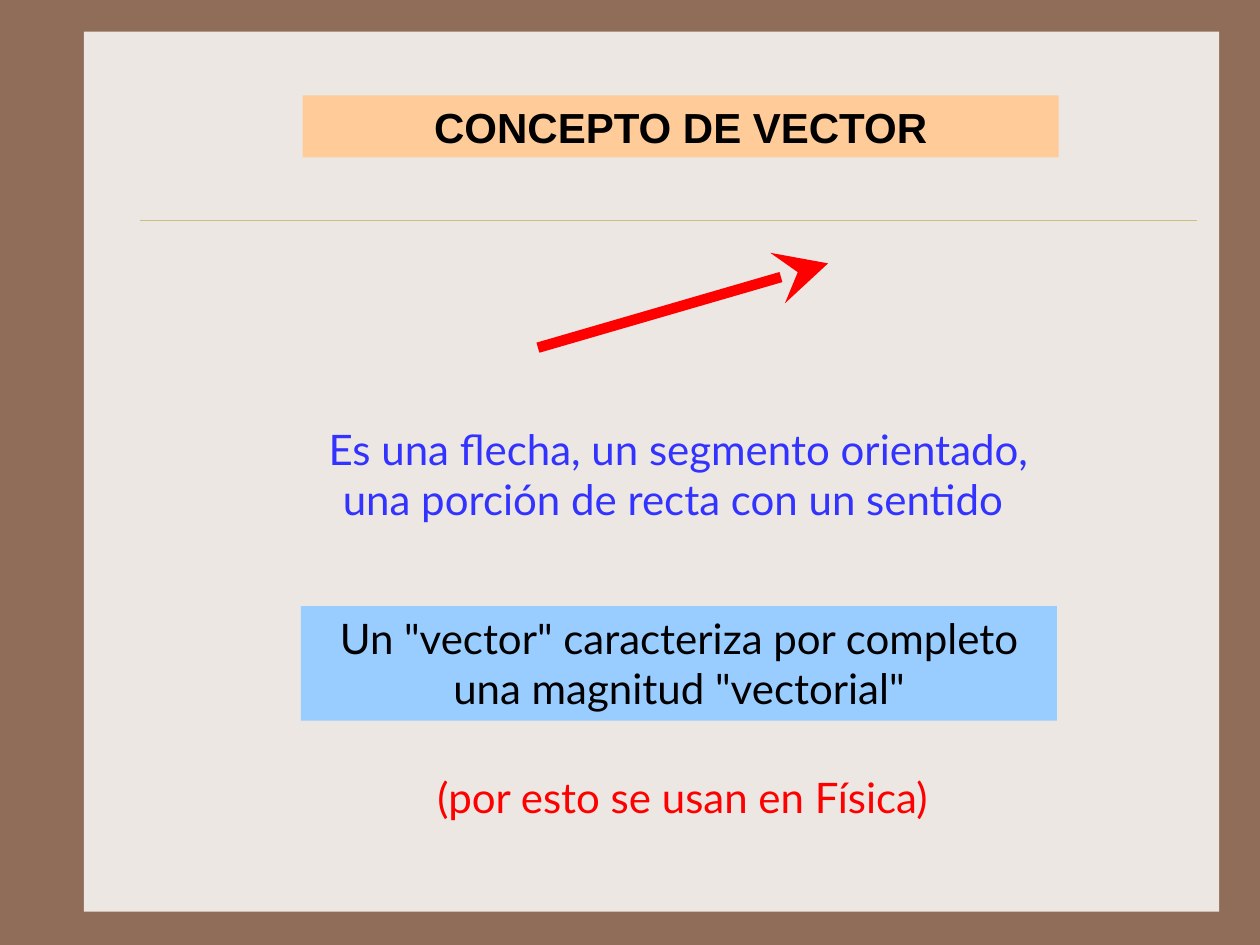
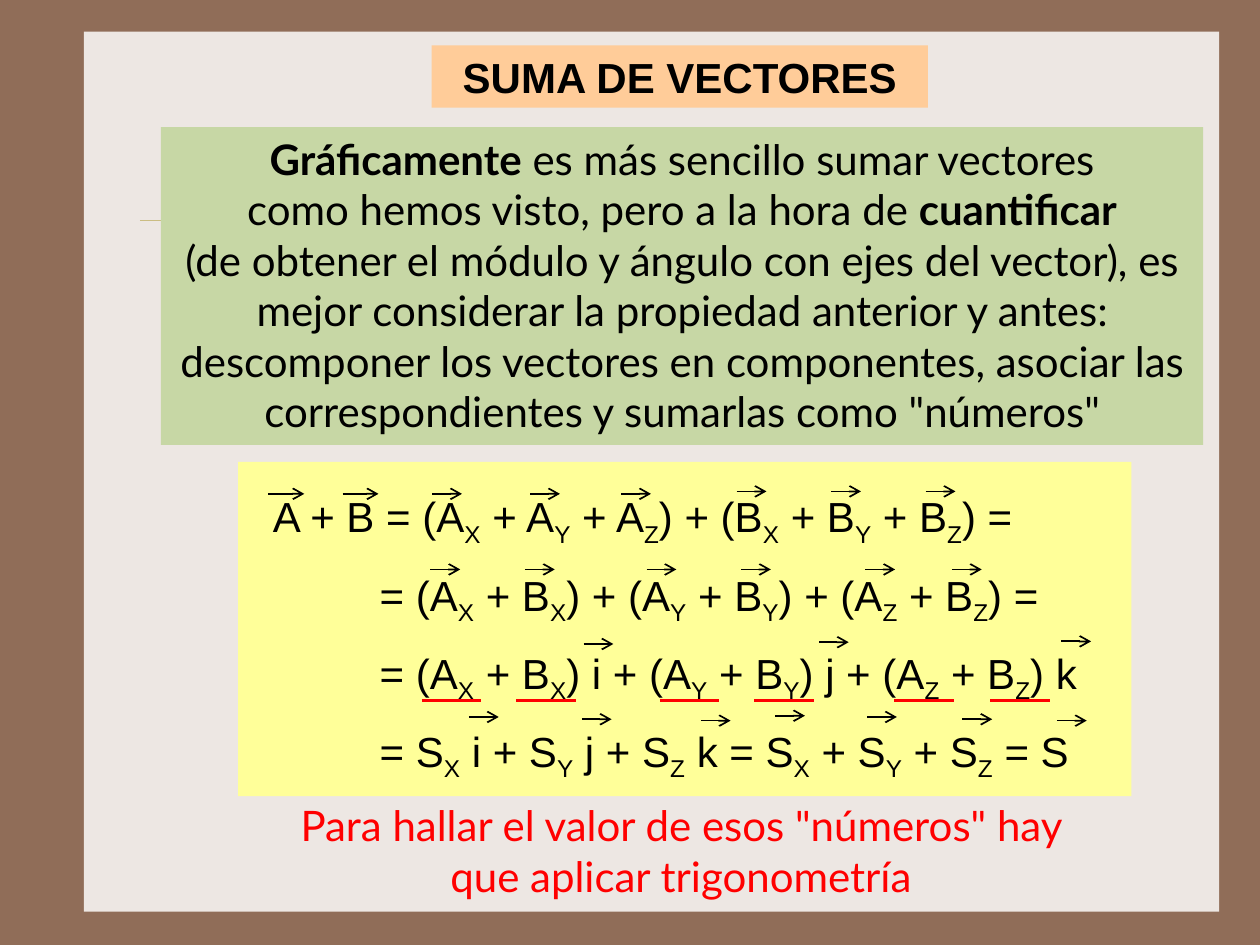
"""Builds two slides about vectors: the concept and the sum by components."""
from lxml import etree
from pptx import Presentation
from pptx.dml.color import RGBColor
from pptx.enum.shapes import MSO_CONNECTOR, MSO_SHAPE
from pptx.enum.text import MSO_ANCHOR, MSO_AUTO_SIZE, PP_ALIGN
from pptx.oxml.ns import qn
from pptx.util import Pt

BROWN, PANEL, RULE = "906D58", "EDE7E3", "CBBD83"
PEACH, SKY, GREEN, YELLOW = "FFCC99", "99CCFF", "C7D7A5", "FFFF99"
BLACK, RED, BLUE = "000000", "FF0000", "3333FF"
rgb = RGBColor.from_string


def add_box(slide, at, lines=(), fill=None, color=BLACK, font="Lato", sp=None):
    """Place a text block; asterisks in a line switch bold on and off."""
    left, top, width, height = [Pt(v) for v in at]
    if sp is not None:
        sp.left, sp.top, sp.width, sp.height = left, top, width, height
    elif fill:
        sp = slide.shapes.add_shape(MSO_SHAPE.RECTANGLE, left, top, width, height)
        sp.shadow.inherit = False
        sp.line.fill.background()
    else:
        sp = slide.shapes.add_textbox(left, top, width, height)
    if fill:
        sp.fill.solid()
        sp.fill.fore_color.rgb = rgb(fill)
    tf = sp.text_frame
    tf.word_wrap = True
    tf.auto_size = MSO_AUTO_SIZE.NONE
    tf.vertical_anchor = MSO_ANCHOR.TOP
    for n, line in enumerate(lines):
        p = tf.add_paragraph() if n else tf.paragraphs[0]
        p.alignment = PP_ALIGN.CENTER
        for i, part in enumerate(line.split("*")):
            if part:
                r = p.add_run()
                r.text = part
                r.font.name, r.font.size = font, Pt(24)
                r.font.bold = i % 2 == 1
                r.font.color.rgb = rgb(color)
    return sp


def add_line(slide, x1, y1, x2, y2, color, width, head=None, size="med"):
    """Draw a straight line, with an arrowhead at its end if asked."""
    cx = slide.shapes.add_connector(
        MSO_CONNECTOR.STRAIGHT, Pt(x1), Pt(y1), Pt(x2), Pt(y2))
    cx.line.color.rgb = rgb(color)
    cx.line.width = Pt(width)
    if head:
        etree.SubElement(cx.line._get_or_add_ln(), qn("a:tailEnd"),
                         type=head, w=size, len=size)
    etree.SubElement(cx._element.spPr, qn("a:effectLst"))


prs = Presentation()
prs.slide_width, prs.slide_height = Pt(720), Pt(540)
bg = prs.slide_master.background.fill
bg.solid()
bg.fore_color.rgb = rgb(BROWN)

titles = [("CONCEPTO DE VECTOR", (173, 54.5, 432, 35.5)),
          ("SUMA DE VECTORES", (246.7, 26, 283.5, 35.5))]
slides = []
for text, at in titles:
    s = prs.slides.add_slide(prs.slide_layouts[5])
    add_box(s, (48, 18, 648.7, 503), fill=PANEL)
    add_line(s, 80, 126, 684, 126, RULE, 0.25)
    title = s.shapes.title
    s.shapes._spTree.append(title._element)
    add_box(s, at, [f"*{text}*"], PEACH, font="Arial", sp=title)
    title.text_frame.vertical_anchor = MSO_ANCHOR.MIDDLE
    slides.append(s)
concept, total = slides

add_box(concept, (166.6, 238.3, 442, 65.5),
        ["Es una flecha, un segmento orientado,",
         "una porción de recta con un sentido "], color=BLUE)
add_box(concept, (172, 346.3, 432, 65.5),
        ['Un "vector" caracteriza por completo',
         'una magnitud "vectorial"'], SKY)
add_line(concept, 307.4, 198.7, 473.2, 150.5, RED, 6, "stealth", "lg")
add_box(concept, (234, 437.3, 312, 36), ["(por esto se usan en Física)"], color=RED)

add_box(total, (92, 72.7, 595.5, 181.5),
        ["*Gráficamente* es más sencillo sumar vectores",
         "como hemos visto, pero a la hora de *cuantificar*",
         "(de obtener el módulo y ángulo con ejes del vector), es mejor "
         "considerar la propiedad anterior y antes: descomponer los vectores "
         "en componentes, asociar las correspondientes y sumarlas como "
         '"números"'], GREEN)
add_box(total, (163.4, 453.6, 451.5, 75),
        ['Para hallar el valor de esos "números" hay que aplicar trigonometría'],
        color=RED)
add_box(total, (136, 264, 510.5, 191), fill=YELLOW)

formulas = ["A + B = (A_X + A_Y + A_Z) + (B_X + B_Y + B_Z) =",
            "= (A_X + B_X) + (A_Y + B_Y) + (A_Z + B_Z) =",
            "= (A_X + B_X) i + (A_Y + B_Y) j + (A_Z + B_Z) k",
            "= S_X i + S_Y j + S_Z k = S_X + S_Y + S_Z = S"]
tf = add_box(total, (136, 277, 510, 166)).text_frame
tf.margin_left = tf.margin_right = 0
for n, formula in enumerate(formulas):
    p = tf.add_paragraph() if n else tf.paragraphs[0]
    p._p.get_or_add_pPr().set("marL", str(Pt(81 if n else 20)))
    if n:
        p.space_before = Pt(11.9)
    first, *rest = formula.split("_")
    pieces = [(first, False)]
    for part in rest:
        pieces += [(part[0], True), (part[1:], False)]
    for text, is_sub in pieces:
        if text:
            r = p.add_run()
            r.text = text
            r.font.name, r.font.size = "Arial", Pt(24)
            r.font.color.rgb = rgb(BLACK)
            if is_sub:
                r._r.get_or_add_rPr().set("baseline", "-25000")

arrow_rows = [(282.2, 20.5, [153.4, 195.8]),
              (282.2, 17, [247, 303, 355]),
              (280.8, 17, [421, 475, 529]),
              (325.4, 17, [246, 300, 369.5, 423.5, 494.5, 544]),
              (368, 17, [333.5]), (367, 17, [468]), (366.5, 17, [606.5]),
              (409.7, 17, [268, 495.5]), (409, 17, [443]),
              (411, 17, [332.5, 550]), (411.8, 17, [400.5, 604])]
for y, length, xs in arrow_rows:
    for x in xs:
        add_line(total, x, y, x + length, y, BLACK, 1, "arrow")
for x in (241, 295, 377, 431, 511, 566):
    add_line(total, x, 400.3, x + 34, 400.3, RED, 1.5)

prs.save("out.pptx")
